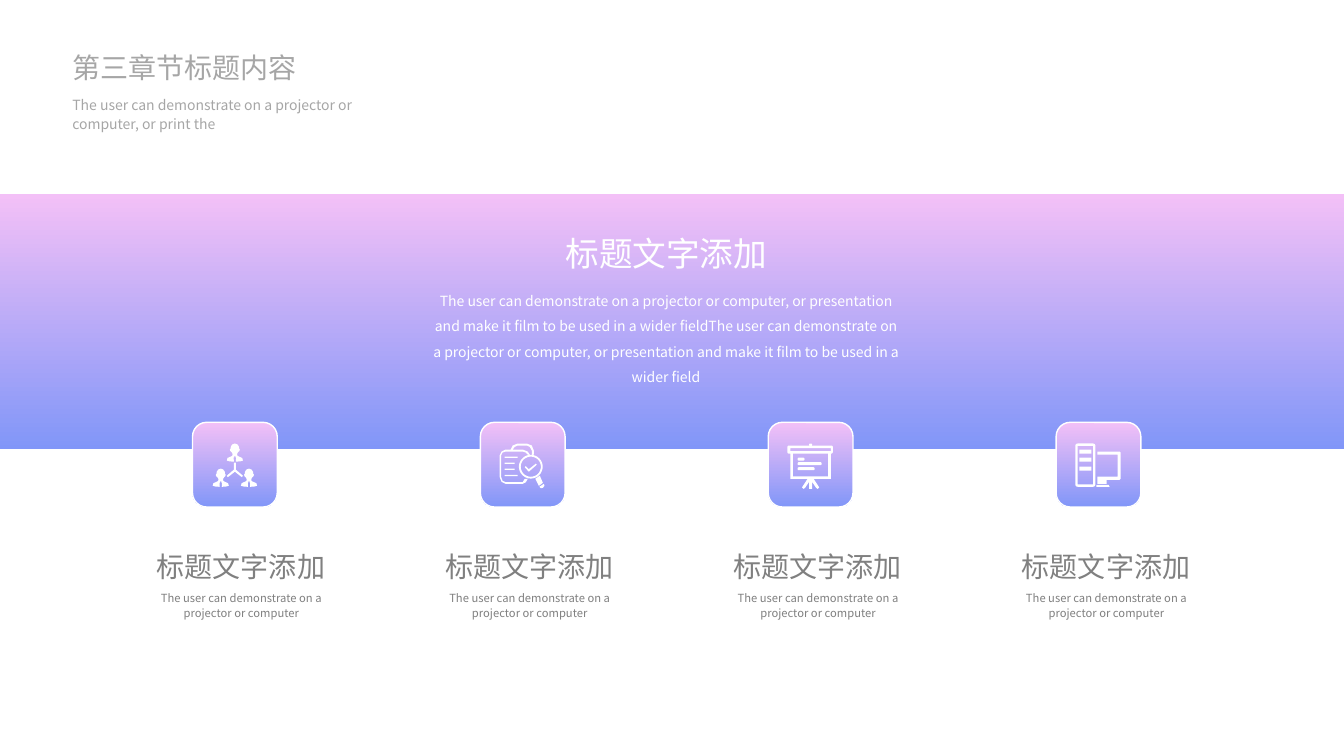
from math import cos, pi, sin

from pptx import Presentation
from pptx.dml.color import RGBColor
from pptx.enum.shapes import MSO_SHAPE
from pptx.enum.text import MSO_ANCHOR, MSO_AUTO_SIZE, PP_ALIGN
from pptx.oxml.ns import qn
from pptx.util import Inches, Pt

RECT, ROUND = MSO_SHAPE.RECTANGLE, MSO_SHAPE.ROUNDED_RECTANGLE
TOP, GROW = MSO_ANCHOR.TOP, MSO_AUTO_SIZE.SHAPE_TO_FIT_TEXT
LEFT, CENTER = PP_ALIGN.LEFT, PP_ALIGN.CENTER
FONT = "Noto Sans CJK SC"
PINK, BLUE, WHITE, PALE, GRAY = "F3C0F7", "8196F8", "FFFFFF", "A6A6A6", "808080"
SLIDE_W, SLIDE_H = 13.33, 7.5
COLUMN_LEFT, COLUMN_TOP, COLUMN_W, COLUMN_STEP = 0.78, 5.34, 3.22, 2.86
TILE_LEFT, TILE_TOP, TILE_SIZE, TILE_STEP = 1.91, 4.19, 0.84, 2.855
HEADING = "标题文字添加"
PHRASE = "The user can demonstrate on a projector or computer"
BAND_TEXT = PHRASE + ", or presentation and make it film to be used in a wider field"


def color(value):
    """Turn a hex string into a colour."""
    return RGBColor.from_string(value)


def write(sp, text, size, shade, align=CENTER, spacing=1.0):
    """Fill a text shape with one formatted paragraph."""
    tf = sp.text_frame
    tf.word_wrap, tf.auto_size, tf.vertical_anchor = True, GROW, TOP
    p = tf.paragraphs[0]
    p.alignment, p.line_spacing = align, spacing
    r = p.add_run()
    r.text = text
    r.font.size, r.font.name = Pt(size), FONT
    r.font.color.rgb = color(shade)
    ea = r.font._element.makeelement(qn("a:ea"), {"typeface": FONT})
    r.font._element.find(qn("a:latin")).addnext(ea)


def add_text(s, x, y, w, h, *style, **options):
    """Add a text box with one paragraph."""
    write(s.shapes.add_textbox(Inches(x), Inches(y), Inches(w), Inches(h)),
          *style, **options)


def add_gradient(s, kind, x, y, w, h):
    """Add a shape that fades from pink down to blue."""
    sp = s.shapes.add_shape(kind, Inches(x), Inches(y), Inches(w), Inches(h))
    sp.shadow.inherit = False
    sp.fill.gradient()
    sp.fill.gradient_angle = 270
    for stop, shade in zip(sp.fill.gradient_stops, (PINK, BLUE)):
        stop.color.rgb = color(shade)
    sp.line.fill.background()
    return sp


def box(x, y, w, h, radius=0):
    """Outline a rectangle, with its corners rounded by radius."""
    if not radius:
        return [(x, y), (x + w, y), (x + w, y + h), (x, y + h)]
    corners = [(x + w - radius, y + h - radius), (x + radius, y + h - radius),
               (x + radius, y + radius), (x + w - radius, y + radius)]
    return [(cx + radius * cos((k + n / 4) * pi / 2),
             cy + radius * sin((k + n / 4) * pi / 2))
            for k, (cx, cy) in enumerate(corners) for n in range(5)]


def disc(cx, cy, r):
    """Outline a circle."""
    return [(cx + r * cos(n * pi / 16), cy + r * sin(n * pi / 16))
            for n in range(32)]


def person(cx, top):
    """Outline a bust with a tie cut out."""
    half = [(0, 0), (2.4, 0.8), (4, 3), (4.2, 5), (4.9, 6), (4.5, 7.5),
            (3.3, 8.5), (2.2, 10.4), (2.6, 12.3), (5, 13.4), (7.3, 14.4),
            (8, 17), (5, 17.8), (1, 18), (1.2, 14), (0.5, 13.4), (0.8, 12.5)]
    return ([(cx + x, top + y) for x, y in half]
            + [(cx - x, top + y) for x, y in reversed(half[1:])])


def team_icon():
    """Outline three linked people."""
    link = [(22, 19), (24, 19), (24, 26), (31, 32), (30, 33.5),
            (23, 28), (16, 33.5), (15, 32), (22, 26)]
    return [person(23, 0), person(9, 25), person(37, 25), link]


def search_icon():
    """Outline a folder under a magnifier."""
    folder = [(28, 35), (26, 38.5), (23, 40), (6, 40), (2, 38), (0, 33),
              (0, 12), (2, 8), (6, 6), (11, 6), (13, 2), (18, 0), (27, 0),
              (32, 2), (34, 7), (34, 11), (32, 11), (32, 7), (30, 3.4),
              (27, 2), (18, 2), (15, 3.4), (13, 6), (23, 6), (28, 8),
              (30, 11), (28, 11), (26, 9), (23, 8), (6, 8), (3, 9), (1.5, 12),
              (1.5, 33), (3, 37), (6, 38.3), (23, 38.3), (25, 35)]
    handle = [(40, 32), (35.5, 35), (39, 42), (43, 39)]
    tip = [(44, 40), (39.5, 43), (41, 44.3), (43, 44), (44.5, 42)]
    check = [(29, 25.5), (26, 22.5), (25, 23.5), (29, 28), (37, 21), (36, 20)]
    rows = [box(5, 13 + 6 * n, w, 1.3)
            for n, w in enumerate((13, 10, 10, 13))]
    return [folder, disc(31, 23, 11.8), disc(31, 23, 10),
            handle, tip, check, *rows]


def board_icon():
    """Outline a presentation board on a tripod."""
    frame = [(3, 10), (43, 10), (43, 35), (26, 35), (31.5, 43.5), (30, 45),
             (28.5, 44), (24.5, 38), (24.5, 45), (21.5, 45), (21.5, 38),
             (17.5, 44), (16, 45), (14.5, 43.5), (20, 35), (3, 35)]
    lines = [box(10, y, w, 3, 1.4) for y, w in ((14, 7), (18.5, 24), (23.5, 17))]
    return [box(21.5, 0, 3, 2, 0.9), box(0, 2, 45, 8, 1.5),
            box(3, 4.7, 40, 2.8), frame, box(5.5, 10, 35, 22.5), *lines]


def computer_icon():
    """Outline a tower beside a monitor."""
    screen = [(22, 8), (44, 8), (45, 9), (45, 35), (44, 36), (31, 36),
              (31, 40), (22, 40), (22, 33), (42, 33), (42, 11), (22, 11)]
    slots = [box(4, y, 12, 4) for y in (6, 14, 23)]
    return [box(0, 0, 20, 43, 2.5), box(2.3, 2.3, 15.4, 38.4), *slots,
            screen, [(21, 41), (33, 41), (34, 43), (21, 43)]]


def add_icon(s, x, y, outlines):
    """Draw outlines, in hundredths of an inch, as one white shape."""
    scaled = [[(10 * a, 10 * b) for a, b in points] for points in outlines]
    builder = s.shapes.build_freeform(*scaled[0][0], scale=Inches(1) / 1000)
    for n, points in enumerate(scaled):
        if n:
            builder.move_to(*points[0])
        builder.add_line_segments(points[1:], close=True)
    sp = builder.convert_to_shape(Inches(x), Inches(y))
    sp.shadow.inherit = False
    sp.fill.solid()
    sp.fill.fore_color.rgb = color(WHITE)
    sp.line.fill.background()


def add_header(s, x, y, w):
    """Place the chapter title and its subtitle."""
    title = s.shapes.title
    title.left, title.top = Inches(x), Inches(y)
    title.width, title.height = Inches(w), Inches(0.44)
    write(title, "第三章节标题内容", 20, PALE, align=LEFT)
    add_text(s, x, y + 0.43, w, 0.48, PHRASE + ", or print the", 10, PALE,
             align=LEFT, spacing=1.14)


def add_band(s, x, y, w, h):
    """Place the gradient band with its heading and text."""
    add_gradient(s, RECT, x, y, w, h)
    middle = x + w / 2 - 0.06
    add_text(s, middle - 1.16, y + 0.33, 2.33, 0.5, HEADING, 24, WHITE)
    add_text(s, middle - 2.42, y + 0.84, 4.84, 1.11, BAND_TEXT * 2, 10, WHITE,
             spacing=1.5)


def add_tile(s, x, y, size, outlines):
    """Place a rounded tile with its icon."""
    sp = add_gradient(s, ROUND, x, y, size, size)
    sp.line.color.rgb = color(WHITE)
    sp.line.width = Pt(1)
    add_icon(s, x + 0.19, y + 0.21, outlines)


def add_caption(s, x, y, w):
    """Place a column's heading and text."""
    add_text(s, x, y, w, 0.47, HEADING, 20, GRAY, spacing=1.2)
    add_text(s, x + 0.55, y + 0.46, w - 1.09, 0.41, PHRASE, 8, GRAY,
             spacing=1.14)


def main():
    """Build and save the slide."""
    prs = Presentation()
    prs.slide_width, prs.slide_height = Inches(SLIDE_W), Inches(SLIDE_H)
    s = prs.slides.add_slide(prs.slide_layouts[5])
    add_header(s, 0.62, 0.45, 3.57)
    add_band(s, 0, 1.93, SLIDE_W, 2.53)
    icons = (team_icon, search_icon, board_icon, computer_icon)
    for n, icon in enumerate(icons):
        add_tile(s, TILE_LEFT + n * TILE_STEP, TILE_TOP, TILE_SIZE, icon())
        add_caption(s, COLUMN_LEFT + n * COLUMN_STEP, COLUMN_TOP, COLUMN_W)
    prs.save("out.pptx")


if __name__ == "__main__":
    main()
